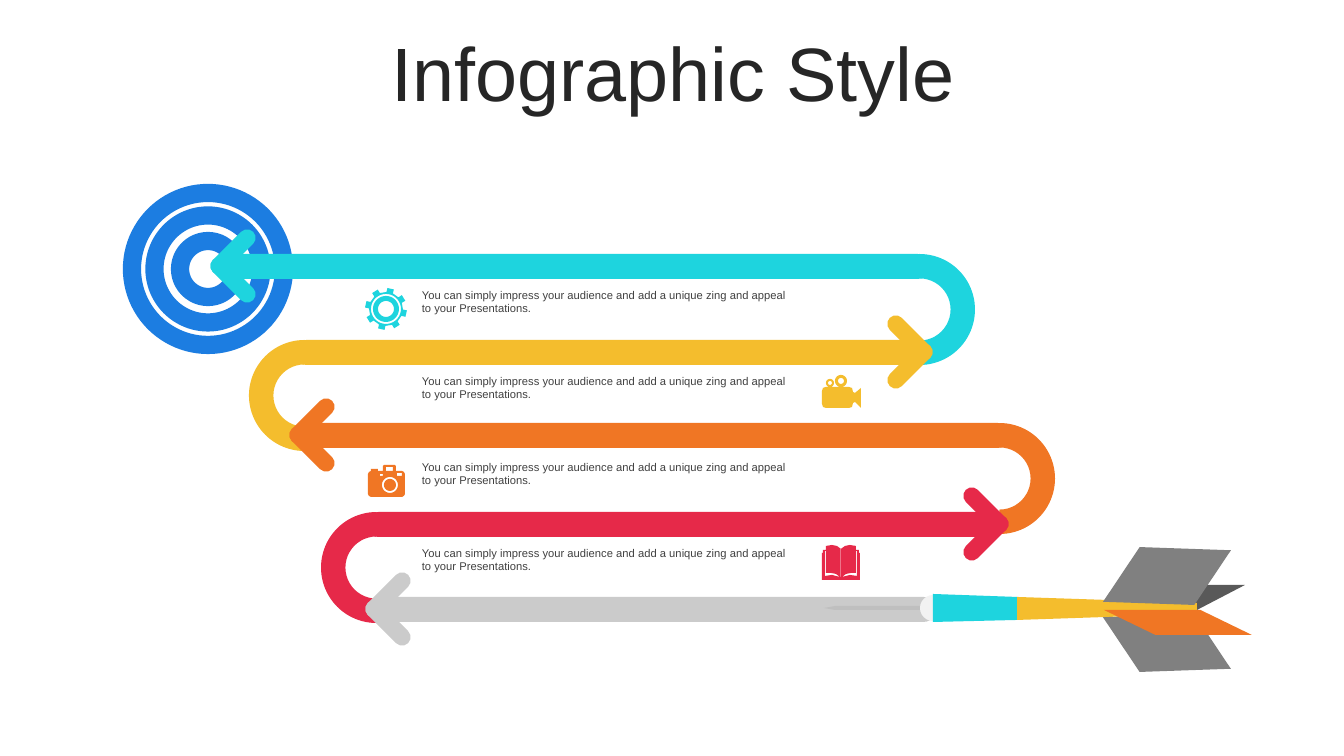
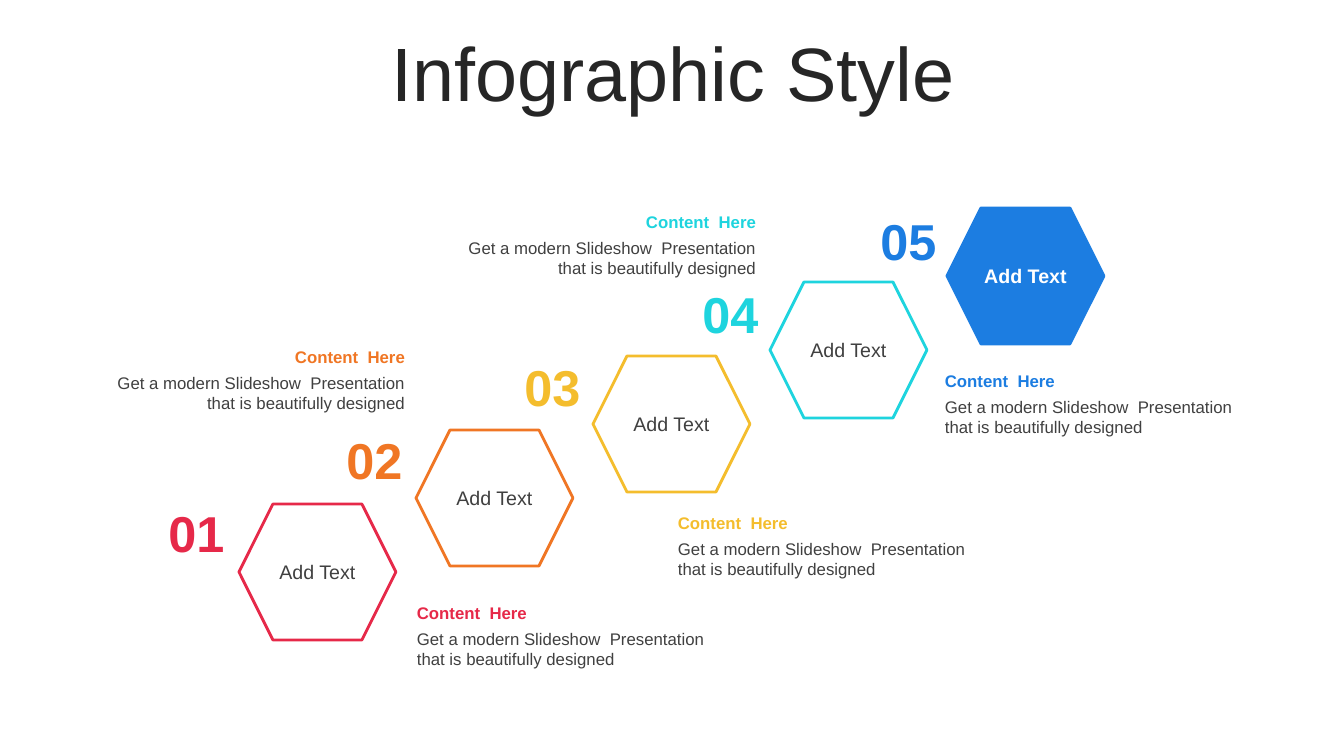
import math
from dataclasses import dataclass

import pptx
import pptx.dml.color
import pptx.enum.shapes
import pptx.enum.text
import pptx.util

EMU_PER_PX = 914400 / 100.8
Shape = pptx.enum.shapes.MSO_SHAPE
Align = pptx.enum.text.PP_ALIGN
Anchor = pptx.enum.text.MSO_ANCHOR


@dataclass(frozen=True)
class Theme:
    font: str = "Arial"
    white: str = "FFFFFF"
    title: str = "262626"
    body: str = "404040"
    blue: str = "1C7DE1"
    cyan: str = "1ED4DE"
    yellow: str = "F4BD2D"
    orange: str = "F07624"
    red: str = "E62949"
    shaft: str = "CBCBCB"
    sliver: str = "BFBFBF"
    cap: str = "F2F2F2"
    feather: str = "808080"
    feather_dark: str = "595959"
    title_size: int = 54
    number_size: int = 36
    label_size: int = 14
    note_size: int = 12
    caption_size: int = 8


THEME = Theme()


# Shared helpers
def px(value):
    return pptx.util.Emu(round(value * EMU_PER_PX))


def rgb(value):
    return pptx.dml.color.RGBColor.from_string(value)


def paint(shape, fill=None, line=None, line_width=2):
    shape.shadow.inherit = False
    if fill:
        shape.fill.solid()
        shape.fill.fore_color.rgb = rgb(fill)
    else:
        shape.fill.background()
    if line:
        shape.line.color.rgb = rgb(line)
        shape.line.width = pptx.util.Pt(line_width)
    else:
        shape.line.fill.background()
    return shape


def add_preset(slide, preset, box, adjustments=(), rotation=0, flip=False, **colors):
    shape = slide.shapes.add_shape(preset, *map(px, box))
    for index, value in enumerate(adjustments):
        shape.adjustments[index] = value
    shape.rotation = rotation
    if flip:
        shape.element.spPr.xfrm.set("flipH", "1")
    return paint(shape, **colors)


def add_outline(slide, left, top, contours, fill):
    """Draw closed contours as one shape; nested contours become holes."""
    builder = None
    for contour in contours:
        points = [(px(left + x), px(top + y)) for x, y in contour]
        if builder is None:
            builder = slide.shapes.build_freeform(*points[0], scale=1.0)
        else:
            builder.move_to(*points[0])
        builder.add_line_segments(points[1:], close=True)
    return paint(builder.convert_to_shape(), fill=fill)


def write_text(shape, text, size, color=THEME.body, bold=False, align=Align.LEFT,
               anchor=Anchor.TOP, line_spacing=None):
    frame = shape.text_frame
    frame.word_wrap = True
    frame.vertical_anchor = anchor
    paragraph = frame.paragraphs[0]
    paragraph.text = text
    paragraph.alignment = align
    paragraph.line_spacing = line_spacing
    font = paragraph.font
    font.name, font.size, font.bold = THEME.font, pptx.util.Pt(size), bold
    font.color.rgb = rgb(color)


def add_text(slide, box, text, size, **text_format):
    write_text(slide.shapes.add_textbox(*map(px, box)), text, size, **text_format)


def add_titled_slide(presentation, title):
    slide = presentation.slides.add_slide(presentation.slide_layouts[6])
    add_text(slide, (35, 37, 1276, 80), title, THEME.title_size, color=THEME.title,
             align=Align.CENTER, anchor=Anchor.MIDDLE, line_spacing=0.9)
    return slide


# Contours used by the icons
def polar(center_x, center_y, radius, degrees):
    angle = math.radians(degrees)
    return center_x + radius * math.sin(angle), center_y - radius * math.cos(angle)


def circle(center_x, center_y, radius):
    return [polar(center_x, center_y, radius, step * 10) for step in range(36)]


def rectangle(left, top, right, bottom):
    return [(left, top), (right, top), (right, bottom), (left, bottom)]


def gear_icon():
    teeth = [polar(21, 21, radius, 13 + 45 * tooth + offset)
             for tooth in range(8)
             for radius, offset in ((17, -11), (21, -9), (21, 9), (17, 11))]
    return [teeth] + [circle(21, 21, radius) for radius in (15, 13, 8)]


def video_icon():
    body = [(0, 17), (1, 14), (4, 13), (27, 13), (30, 14), (31, 18), (33, 19), (39, 14),
            (39, 34), (33, 28), (31, 29), (30, 33), (27, 34), (4, 34), (1, 33), (0, 30)]
    return [body, circle(19, 7, 6), circle(19, 7, 3), circle(8, 9, 4), circle(8, 9, 2)]


def camera_icon():
    body = [(0, 9), (1, 7), (3, 6), (3, 4), (10, 4), (10, 6), (15, 6), (15, 1), (16, 0),
            (27, 0), (28, 1), (28, 6), (34, 6), (36, 7), (37, 9), (37, 29), (36, 31),
            (34, 32), (3, 32), (1, 31), (0, 29)]
    return [body, rectangle(18, 2, 25, 6), rectangle(29, 8, 34, 11),
            rectangle(12, 9, 15, 11), circle(22, 20, 8), circle(22, 20, 6)]


def book_icon():
    def mirror(points):
        return [(38 - x, y) for x, y in reversed(points)]

    cover = [(0, 35), (0, 8), (1, 8), (1, 5), (4, 5), (4, 1), (10, 0), (15, 1), (19, 4)]
    page_edge = [(3, 6), (4, 6), (4, 28), (9, 28), (14, 29), (18, 32), (10, 30), (3, 31)]
    return [cover + mirror(cover), page_edge, mirror(page_edge),
            rectangle(18.75, 4, 19.25, 32)]


# Slide 1: target, winding ribbons and dart
def add_target(slide, center_x, center_y):
    for diameter in (152, 107, 56):
        box = (center_x - diameter / 2, center_y - diameter / 2, diameter, diameter)
        add_preset(slide, Shape.OVAL, box, fill=THEME.white, line=THEME.blue, line_width=13)


def add_ribbon(slide, left, top, right, color, points_left, has_bend=True):
    """A bar with an arrowhead at one end and a half-ring bend at the other."""
    thickness, bend, overhang = 25, 111, 45
    if has_bend:
        bend_left = right + overhang - bend if points_left else left - overhang
        add_preset(slide, Shape.BLOCK_ARC, (bend_left, top, bend, bend), (108, 0, 0.22),
                   rotation=90 if points_left else 270, fill=color)
    add_preset(slide, Shape.ROUNDED_RECTANGLE, (left, top, right - left, thickness), (0.5,),
               fill=color)
    # Arrowhead strokes
    width, length = 17, 57
    center_x = left + 17 if points_left else right - 17
    for side in (-1, 1):
        center_y = top + 12 + side * 14
        box = (center_x - width / 2, center_y - length / 2, width, length)
        add_preset(slide, Shape.ROUNDED_RECTANGLE, box, (0.5,),
                   rotation=-45 * side if points_left else 45 * side, fill=color)


def add_dart(slide, left, top):
    def feather(x, y, width, height, slant, color, rotation=0, flip=False):
        add_preset(slide, Shape.PARALLELOGRAM, (left + x, top + y, width, height), (slant,),
                   rotation=rotation, flip=flip, fill=color)

    # Barrel
    feather(279, 37, 142, 25, 1.92, THEME.feather_dark)
    add_outline(slide, left, top,
                [[(0, 60), (11, 58), (101, 58), (101, 62), (11, 62)]], THEME.sliver)
    add_outline(slide, left, top, [[(193, 49), (373, 55), (373, 66), (193, 72)]], THEME.yellow)
    add_preset(slide, Shape.CHORD, (left + 96, top + 47, 26, 26), (54, 162), fill=THEME.cap)
    add_outline(slide, left, top, [[(109, 46), (193, 49), (193, 72), (109, 74)]], THEME.cyan)
    # Feathers
    feather(280, 67, 126, 56, 0.62, THEME.feather, rotation=-2, flip=True)
    feather(280, 0, 126, 56, 0.62, THEME.feather, rotation=2)
    feather(280, 62, 148, 25, 2.06, THEME.orange, flip=True)


def build_target_slide(presentation):
    slide = add_titled_slide(presentation, "Infographic Style")
    add_target(slide, 208, 269)
    ribbons = [
        (216, 254, 930, THEME.cyan, True),
        (294, 340, 927, THEME.yellow, False),
        (295, 423, 1010, THEME.orange, True),
        (366, 512, 1003, THEME.red, False),
    ]
    for ribbon in ribbons:
        add_ribbon(slide, *ribbon)
    add_ribbon(slide, 371, 597, 936, THEME.shaft, True, has_bend=False)
    add_dart(slide, 824, 548)
    icons = [
        (365, 288, gear_icon(), THEME.cyan),
        (822, 374, video_icon(), THEME.yellow),
        (368, 465, camera_icon(), THEME.orange),
        (822, 545, book_icon(), THEME.red),
    ]
    for row, icon in enumerate(icons):
        add_outline(slide, *icon)
        add_text(slide, (412, 283 + 86 * row, 392, 37),
                 "You can simply impress your audience and add a unique zing and appeal "
                 "to your Presentations.", THEME.caption_size)


# Slide 2: rising hexagon steps
def add_step(slide, index, color, is_last):
    hexagon = add_preset(slide, Shape.HEXAGON, (239 + 177 * index, 504 - 74 * index, 157, 136),
                         fill=color if is_last else None, line=color)
    frame = hexagon.text_frame
    frame.margin_left = frame.margin_right = 0
    write_text(hexagon, "Add Text", THEME.label_size, bold=is_last, align=Align.CENTER,
               color=THEME.white if is_last else THEME.body, anchor=Anchor.MIDDLE)
    add_text(slide, (155 + 178 * index, 496 - 73 * index, 83, 72), f"{index + 1:02}",
             THEME.number_size, color=color, bold=True, align=Align.CENTER,
             anchor=Anchor.MIDDLE)


def add_note(slide, left, top, color, align):
    add_text(slide, (left, top + 26, 329, 50),
             "Get a modern Slideshow  Presentation that is beautifully designed",
             THEME.note_size, align=align)
    add_text(slide, (left, top, 329, 30), "Content  Here", THEME.note_size, color=color,
             bold=True, align=align, anchor=Anchor.MIDDLE)


def build_steps_slide(presentation):
    slide = add_titled_slide(presentation, "Infographic Style")
    steps = [
        (THEME.red, 407, 598, Align.LEFT),
        (THEME.orange, 86, 342, Align.RIGHT),
        (THEME.yellow, 668, 508, Align.LEFT),
        (THEME.cyan, 437, 207, Align.RIGHT),
        (THEME.blue, 935, 366, Align.LEFT),
    ]
    for index, (color, note_left, note_top, align) in enumerate(steps):
        add_step(slide, index, color, is_last=index == len(steps) - 1)
        add_note(slide, note_left, note_top, color, align)


def main():
    presentation = pptx.Presentation()
    presentation.slide_width, presentation.slide_height = px(1344), px(756)
    build_target_slide(presentation)
    build_steps_slide(presentation)
    presentation.save("out.pptx")


if __name__ == "__main__":
    main()
